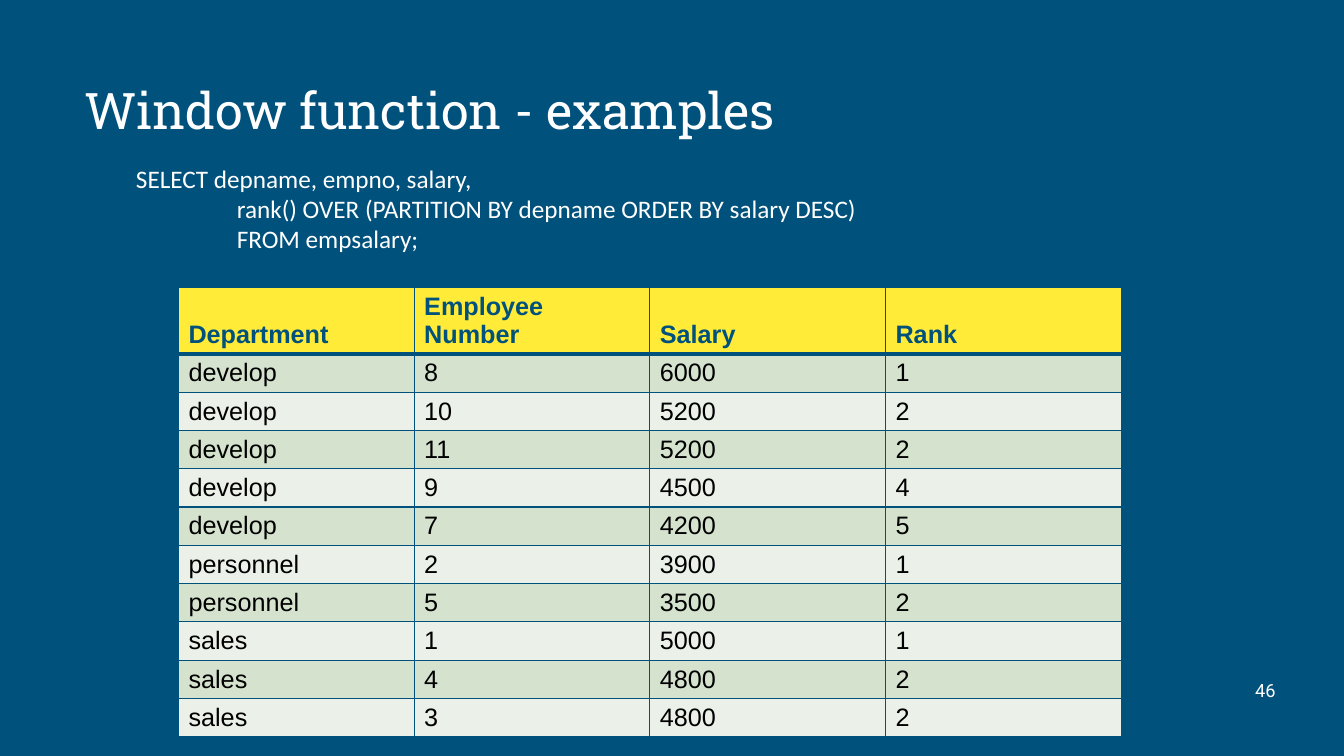
from lxml import etree
from pptx import Presentation, util as u
from pptx.dml.color import RGBColor
from pptx.enum import text
from pptx.oxml.ns import qn

NAVY, YELLOW, WHITE, BLACK = "00517C", "FFEB38", "FFFFFF", "000000"
BANDS = ["D4E2CE", "EBF1E8"]
TITLE = ["Window function - examples"]
QUERY = [
    "SELECT depname, empno, salary,",
    "\trank() OVER (PARTITION BY depname ORDER BY salary DESC)",
    "\tFROM empsalary;",
]
PAGE = ["46"]
HEADER = ("Department", "Employee Number", "Salary", "Rank")
ROWS = [
    ("develop", 8, 6000, 1),
    ("develop", 10, 5200, 2),
    ("develop", 11, 5200, 2),
    ("develop", 9, 4500, 4),
    ("develop", 7, 4200, 5),
    ("personnel", 2, 3900, 1),
    ("personnel", 5, 3500, 2),
    ("sales", 1, 5000, 1),
    ("sales", 4, 4800, 2),
    ("sales", 3, 4800, 2),
]
TABLE_W, HEAD_H, ROW_H, TAB = 9.35, 0.65, 0.38, 1
MIDDLE, TOP = text.MSO_ANCHOR.MIDDLE, text.MSO_ANCHOR.TOP
LEFT, RIGHT = text.PP_ALIGN.LEFT, text.PP_ALIGN.RIGHT
HEAD_CELL = {"vertical_anchor": text.MSO_ANCHOR.BOTTOM,
             "margin_top": u.Inches(0.01), "margin_bottom": u.Inches(0.05)}
BODY_CELL = {"vertical_anchor": MIDDLE,
             "margin_top": u.Inches(0.04), "margin_bottom": u.Inches(0.04)}
BOXES = [
    (TITLE, (0.74, 0.67, 9.4, 1.44), {"name": "Roboto Slab", "size": u.Pt(36)},
     {"alignment": LEFT, "line_spacing": 0.9},
     {"vertical_anchor": MIDDLE, "margin_bottom": u.Inches(0.59)}),
    (PAGE, (12, 6.65, 0.75, 0.4), {"name": "Roboto", "size": u.Pt(13)},
     {"alignment": RIGHT}, {"vertical_anchor": MIDDLE}),
    (QUERY, (1.25, 1.57, 8.68, 1.01), {"name": "Calibri", "size": u.Pt(18)},
     {"alignment": LEFT}, {"vertical_anchor": TOP}),
]


def rgb(value):
    return RGBColor.from_string(value)


def apply(obj, values):
    for key, value in values.items():
        setattr(obj, key, value)


def add_tab(p):
    tabs = etree.SubElement(p._p.get_or_add_pPr(), qn("a:tabLst"))
    etree.SubElement(tabs, qn("a:tab"), pos=str(u.Inches(TAB)), algn="l")


def add_text(s, lines, at, font, para, frame):
    tf = s.shapes.add_textbox(*map(u.Inches, at)).text_frame
    apply(tf, {"word_wrap": True, **frame})
    for i, line in enumerate(lines):
        p = tf.paragraphs[0] if i == 0 else tf.add_paragraph()
        apply(p, para)
        if "\t" in line:
            add_tab(p)
        r = p.add_run()
        r.text = line
        apply(r.font, font)
        r.font.color.rgb = rgb(WHITE)


def add_borders(cell, widths):
    tc_pr = cell._tc.get_or_add_tcPr()
    for side, width in widths.items():
        ln = etree.SubElement(tc_pr, qn(f"a:ln{side}"), w=str(u.Pt(width)))
        fill = etree.SubElement(ln, qn("a:solidFill"))
        etree.SubElement(fill, qn("a:srgbClr"), val=NAVY)


def add_ranking(s, left, top):
    rows = [HEADER, *ROWS]
    size = (TABLE_W, HEAD_H + ROW_H * len(ROWS))
    tbl = s.shapes.add_table(len(rows), len(HEADER),
                             *map(u.Inches, (left, top, *size))).table
    tbl.horz_banding = False
    for i, values in enumerate(rows):
        head = i == 0
        tbl.rows[i].height = u.Inches(HEAD_H if head else ROW_H)
        for j, value in enumerate(values):
            cell = tbl.cell(i, j)
            add_borders(cell, {"L": 1, "R": 1, "T": 3 if i == 1 else 1,
                               "B": 3 if head else 1})
            cell.fill.solid()
            cell.fill.fore_color.rgb = rgb(YELLOW if head else BANDS[(i - 1) % 2])
            apply(cell, HEAD_CELL if head else BODY_CELL)
            r = cell.text_frame.paragraphs[0].add_run()
            r.text = str(value)
            apply(r.font, {"name": "Arial", "size": u.Pt(18), "bold": head})
            r.font.color.rgb = rgb(NAVY if head else BLACK)


def main():
    prs = Presentation()
    apply(prs, {"slide_width": u.Inches(13.33), "slide_height": u.Inches(7.5)})
    s = prs.slides.add_slide(prs.slide_layouts[6])
    s.background.fill.solid()
    s.background.fill.fore_color.rgb = rgb(NAVY)
    title, *others = BOXES
    add_text(s, *title)
    add_ranking(s, 1.77, 2.85)
    for box in others:
        add_text(s, *box)
    prs.save("out.pptx")


if __name__ == "__main__":
    main()
